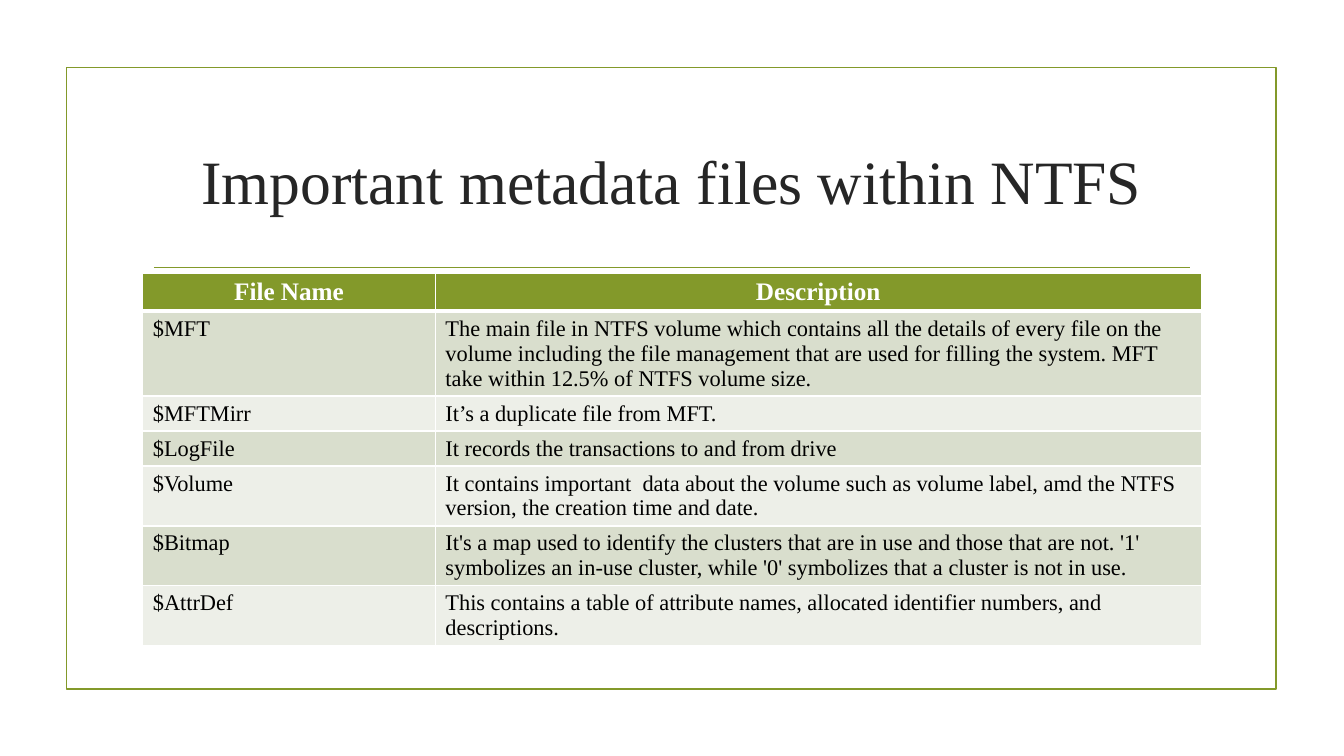
from dataclasses import dataclass

from lxml.etree import SubElement
from pptx import Presentation
from pptx.dml.color import RGBColor
from pptx.enum.shapes import MSO_CONNECTOR, MSO_SHAPE
from pptx.enum.text import MSO_ANCHOR, PP_ALIGN
from pptx.oxml.ns import qn
from pptx.util import Pt


@dataclass(frozen=True)
class Theme:
    """Colours, font and type sizes of the slide."""
    accent: str = "83992A"
    title: str = "262626"
    body: str = "000000"
    white: str = "FFFFFF"
    bands: tuple = ("D9DECD", "EDEFE8")
    font: str = "Times New Roman"
    title_size: int = 44
    header_size: int = 18
    body_size: int = 16
    outline: float = 1.25
    border: int = 1
    header_border: int = 3


@dataclass(frozen=True)
class Box:
    """A region of the slide in points."""
    left: float
    top: float
    width: float
    height: float

    def lengths(self):
        """Return left, top, width and height as slide lengths."""
        return Pt(self.left), Pt(self.top), Pt(self.width), Pt(self.height)


THEME = Theme()
HEADER = ("File Name", "Description")
METADATA_FILES = (
    ("$MFT", "The main file in NTFS volume which contains all the details of every file on the "
             "volume including the file management that are used for filling the system. "
             "MFT take within 12.5% of NTFS volume size."),
    ("$MFTMirr", "It’s a duplicate file from MFT."),
    ("$LogFile", "It records the transactions to and from drive"),
    ("$Volume", "It contains important  data about the volume such as volume label, "
                "amd the NTFS version, the creation time and date."),
    ("$Bitmap", "It's a map used to identify the clusters that are in use and those that are "
                "not. '1' symbolizes an in-use cluster, while '0' symbolizes that a cluster "
                "is not in use."),
    ("$AttrDef", "This contains a table of attribute names, allocated identifier numbers, "
                 "and descriptions."),
)


def color(value):
    """Turn a hexadecimal value into a colour."""
    return RGBColor.from_string(value)


def write(text_frame, text, size, ink, align=PP_ALIGN.LEFT, bold=False):
    """Write one formatted run into the first paragraph."""
    paragraph = text_frame.paragraphs[0]
    paragraph.alignment = align
    run = paragraph.add_run()
    run.text = text
    run.font.name = THEME.font
    run.font.size = Pt(size)
    run.font.bold = bold
    run.font.color.rgb = color(ink)


def add_frame(slide, box):
    """Draw the outline around the slide content."""
    shape = slide.shapes.add_shape(MSO_SHAPE.RECTANGLE, *box.lengths())
    shape.shadow.inherit = False
    shape.fill.background()
    shape.line.color.rgb = color(THEME.accent)
    shape.line.width = Pt(THEME.outline)


def add_title(slide, box, text):
    """Place the title and the rule beneath it."""
    title = slide.shapes.title
    title.left, title.top, title.width, title.height = box.lengths()
    title.text_frame.word_wrap = True
    title.text_frame.vertical_anchor = MSO_ANCHOR.MIDDLE
    write(title.text_frame, text, THEME.title_size, THEME.title, PP_ALIGN.CENTER)
    inset = 8
    level = Pt(box.top + box.height + 11)
    rule = slide.shapes.add_connector(
        MSO_CONNECTOR.STRAIGHT, Pt(box.left + inset), level,
        Pt(box.left + box.width - inset), level)
    rule.line.color.rgb = color(THEME.accent)
    rule.line.width = Pt(THEME.outline)
    SubElement(rule._element.spPr, qn("a:effectLst"))


def set_borders(cell, top, bottom):
    """Give a cell white borders with the given top and bottom widths."""
    properties = cell._tc.get_or_add_tcPr()
    widths = {"lnL": THEME.border, "lnR": THEME.border, "lnT": top, "lnB": bottom}
    for side, width in widths.items():
        line = SubElement(properties, qn(f"a:{side}"), w=str(Pt(width)))
        fill = SubElement(line, qn("a:solidFill"))
        SubElement(fill, qn("a:srgbClr"), val=THEME.white)


def fill_cell(cell, text, row):
    """Format and write one table cell according to its row."""
    set_borders(cell, THEME.header_border if row == 1 else THEME.border,
                THEME.header_border if row == 0 else THEME.border)
    cell.fill.solid()
    if row == 0:
        cell.fill.fore_color.rgb = color(THEME.accent)
        write(cell.text_frame, text, THEME.header_size, THEME.white, PP_ALIGN.CENTER, True)
    else:
        cell.fill.fore_color.rgb = color(THEME.bands[(row - 1) % 2])
        write(cell.text_frame, text, THEME.body_size, THEME.body)


def add_file_table(slide, box, name_width):
    """Add the table of metadata files."""
    rows = (HEADER, *METADATA_FILES)
    table = slide.shapes.add_table(len(rows), len(HEADER), *box.lengths()).table
    table.columns[0].width = Pt(name_width)
    table.columns[1].width = Pt(box.width - name_width)
    for row, texts in enumerate(rows):
        for column, text in enumerate(texts):
            fill_cell(table.cell(row, column), text, row)


def main():
    """Build and save the presentation."""
    presentation = Presentation()
    presentation.slide_width, presentation.slide_height = Pt(960), Pt(540)
    slide = presentation.slides.add_slide(presentation.slide_layouts[5])
    add_frame(slide, Box(47.5, 48.2, 864, 444.2))
    add_title(slide, Box(102, 77, 756, 103), "Important metadata files within NTFS")
    add_file_table(slide, Box(102, 195.2, 756, 168), 209)
    presentation.save("out.pptx")


if __name__ == "__main__":
    main()
